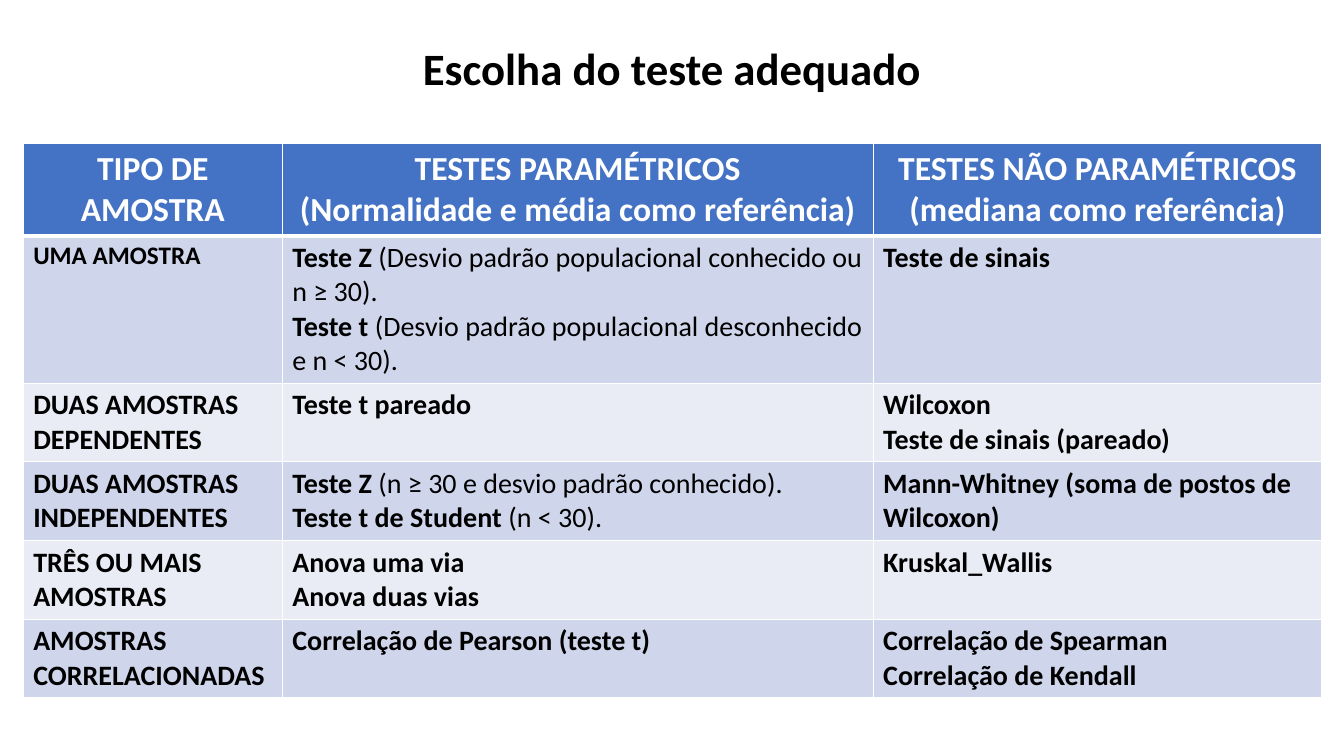
from pptx import Presentation
from pptx import util as u
from pptx.dml.color import RGBColor
from pptx.enum import text
from pptx.oxml import parse_xml
from pptx.oxml.ns import nsdecls

TITLE = "Escolha do teste adequado"
HEADS = [
    ["TIPO DE AMOSTRA"],
    ["TESTES PARAMÉTRICOS", "(Normalidade e média como referência)"],
    ["TESTES NÃO PARAMÉTRICOS", "(mediana como referência)"],
]
# Each cell is a list of lines; a pair holds a bold part and a plain part.
BODY = [
    [["UMA AMOSTRA"],
     [("Teste Z ", "(Desvio padrão populacional conhecido ou n ≥ 30)."),
      ("Teste t ", "(Desvio padrão populacional desconhecido e n < 30).")],
     ["Teste de sinais"]],
    [["DUAS AMOSTRAS DEPENDENTES"],
     ["Teste t pareado"],
     ["Wilcoxon", "Teste de sinais (pareado)"]],
    [["DUAS AMOSTRAS INDEPENDENTES"],
     [("Teste Z ", "(n ≥ 30 e desvio padrão conhecido)."),
      ("Teste t de Student ", "(n < 30).")],
     ["Mann-Whitney (soma de postos de Wilcoxon)"]],
    [["TRÊS OU MAIS AMOSTRAS"],
     ["Anova uma via", "Anova duas vias"],
     ["Kruskal_Wallis"]],
    [["AMOSTRAS CORRELACIONADAS"],
     ["Correlação de Pearson (teste t)"],
     ["Correlação de Spearman", "Correlação de Kendall"]],
]

THEME = {
    "font": "Calibri", "ink": "000000", "white": "FFFFFF",
    "head": "4472C4", "bands": ("CFD5EA", "E9EBF5"),
    "title": 32, "top": 24, "text": 20, "small": 18,
    "line": 1, "rule": 3,
}
WIDE, HIGH = 13.33, 7.5
LEFT, TOP = 0.23, 1.42
COLS = (2.57, 5.86, 4.45)
ROWS = (0.92, 1.46) + (0.78,) * 4


def write(frame, lines, size, color, center=False):
    """Fill a text frame with lines, each bold or bold then plain."""
    for i, line in enumerate(lines):
        para = frame.paragraphs[0] if i == 0 else frame.add_paragraph()
        if center:
            para.alignment = text.PP_ALIGN.CENTER
        parts = (line,) if isinstance(line, str) else line
        for j, part in enumerate(parts):
            run = para.add_run()
            run.text = part
            run.font.name = THEME["font"]
            run.font.size = u.Pt(size)
            run.font.bold = j == 0
            run.font.color.rgb = RGBColor.from_string(color)


def edge(cell, row):
    """Draw white cell borders, thicker under the header row."""
    thick = {"B": 0, "T": 1}
    for side in "LRTB":
        width = THEME["rule" if thick.get(side) == row else "line"]
        cell._tc.get_or_add_tcPr().append(parse_xml(
            f'<a:ln{side} {nsdecls("a")} w="{u.Pt(width)}"><a:solidFill>'
            f'<a:srgbClr val="{THEME["white"]}"/></a:solidFill></a:ln{side}>'))


def paint(cell, row, color):
    """Give a cell its borders and fill."""
    edge(cell, row)
    cell.fill.solid()
    cell.fill.fore_color.rgb = RGBColor.from_string(color)


def grid(slide):
    """Build the table of tests."""
    table = slide.shapes.add_table(
        len(ROWS), len(COLS), u.Inches(LEFT), u.Inches(TOP),
        u.Inches(sum(COLS)), u.Inches(sum(ROWS))).table
    for col, width in zip(table.columns, COLS):
        col.width = u.Inches(width)
    for row, height in zip(table.rows, ROWS):
        row.height = u.Inches(height)
    for r, cells in enumerate([HEADS] + BODY):
        for c, lines in enumerate(cells):
            cell = table.cell(r, c)
            if r == 0:
                paint(cell, r, THEME["head"])
                write(cell.text_frame, lines, THEME["top"], THEME["white"], True)
            else:
                paint(cell, r, THEME["bands"][(r - 1) % 2])
                size = THEME["small" if (r, c) == (1, 0) else "text"]
                write(cell.text_frame, lines, size, THEME["ink"])


def title(slide):
    """Add the centred slide title."""
    wide = 10.97
    box = slide.shapes.add_textbox(
        u.Inches((WIDE - wide) / 2), u.Inches(0.36), u.Inches(wide), u.Inches(0.64))
    box.text_frame.word_wrap = True
    write(box.text_frame, [TITLE], THEME["title"], THEME["ink"], True)


deck = Presentation()
deck.slide_width, deck.slide_height = u.Inches(WIDE), u.Inches(HIGH)
page = deck.slides.add_slide(deck.slide_layouts[6])
grid(page)
title(page)
deck.save("out.pptx")
